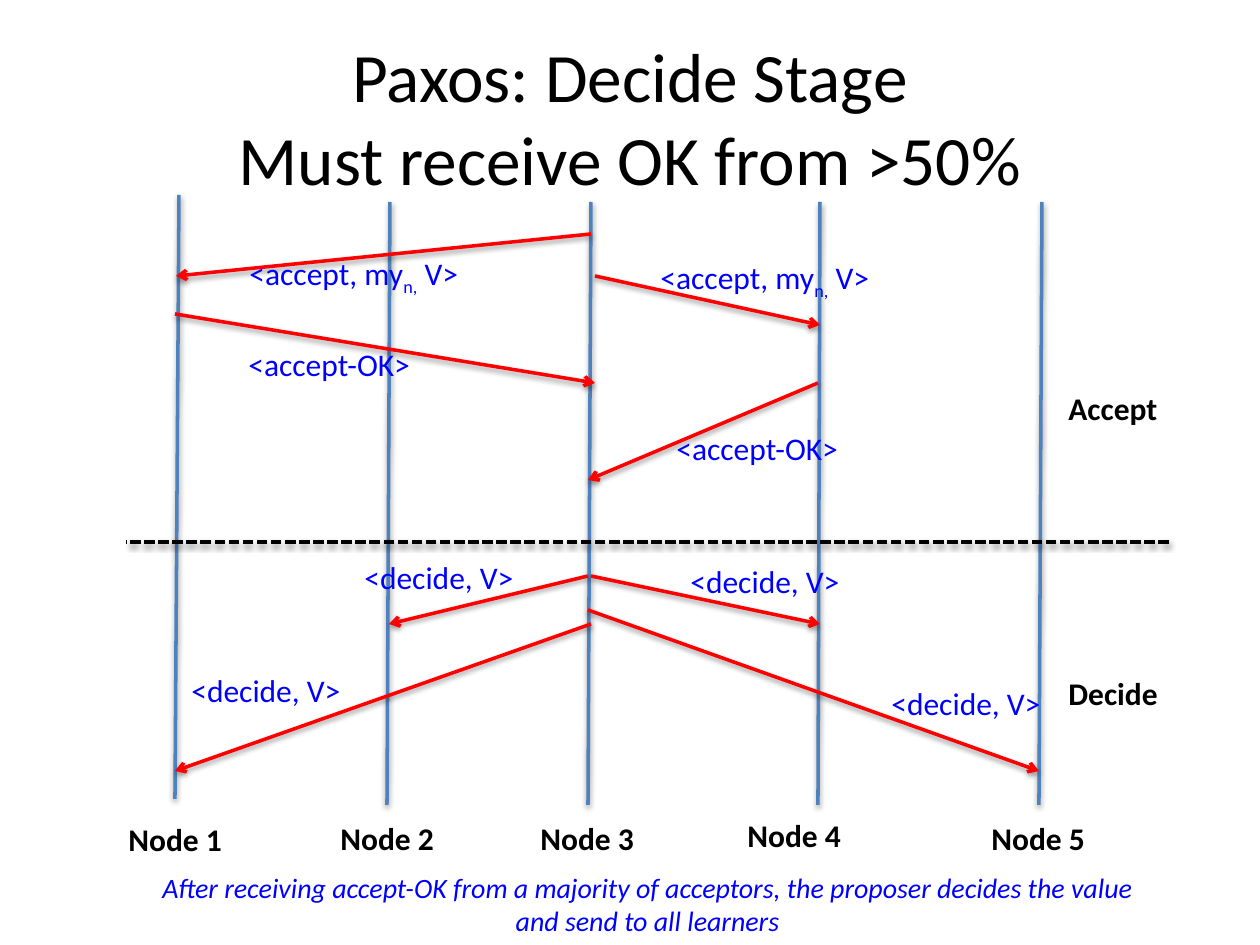
from lxml import etree
from pptx import Presentation
from pptx.dml.color import RGBColor
from pptx.enum.dml import MSO_LINE
from pptx.enum.shapes import MSO_CONNECTOR
from pptx.enum.text import MSO_ANCHOR, PP_ALIGN
from pptx.oxml import parse_xml
from pptx.oxml.ns import nsdecls, qn
from pptx.util import Emu, Pt

STRAIGHT = MSO_CONNECTOR.STRAIGHT
DASHED = MSO_LINE.SQUARE_DOT
MIDDLE = MSO_ANCHOR.MIDDLE
LEFT, CENTER = PP_ALIGN.LEFT, PP_ALIGN.CENTER

PIXELS_PER_INCH = 126
FONT = "Calibri"
BLACK, BLUE, RED, STEEL = "000000", "0000FF", "FF0000", "4F81BD"

SHADOW = (
    f'<a:effectLst {nsdecls("a")}>'
    '<a:outerShdw blurRad="40000" dist="20000" dir="5400000" rotWithShape="0">'
    '<a:srgbClr val="000000"><a:alpha val="38000"/></a:srgbClr>'
    "</a:outerShdw></a:effectLst>"
)

# Name, top x, bottom x, top y, bottom y, label left, label top
NODES = [
    ("Node 1", 179, 175, 195, 799, 116, 814),
    ("Node 2", 390, 387, 202, 805, 328, 813),
    ("Node 3", 591, 588, 202, 805, 528, 813),
    ("Node 4", 820, 818, 202, 805, 735, 810),
    ("Node 5", 1042, 1039, 202, 805, 979, 813),
]

# Start and end of each message arrow
MESSAGES = [
    ((175, 314), (595, 383)),
    ((818, 383), (588, 480)),
    ((591, 234), (176, 276)),
    ((595, 276), (820, 325)),
    ((588, 576), (389, 624)),
    ((591, 624), (175, 771)),
    ((588, 610), (1039, 771)),
    ((591, 576), (820, 624)),
]

# Spans of text, each with a flag for subscript
ACCEPT = [("<accept, my", False), ("n,", True), (" V>", False)]
ACCEPT_OK = [("<accept-OK>", False)]
DECIDE = [("<decide, V>", False)]

# Spans, left, top, width
MESSAGE_LABELS = [
    (ACCEPT_OK, 236, 339, 190),
    (ACCEPT_OK, 664, 423, 190),
    (ACCEPT, 237, 248, 247),
    (ACCEPT, 648, 252, 247),
    (DECIDE, 179, 665, 176),
    (DECIDE, 352, 552, 176),
    (DECIDE, 678, 556, 176),
    (DECIDE, 879, 678, 176),
]

STAGES = [("Accept", 383), ("Decide", 668)]

CAPTION = [
    "After receiving accept-OK from a majority of acceptors, the proposer decides the value",
    "and send to all learners",
]


def px(pixels):
    return Emu(round(pixels * 914400 / PIXELS_PER_INCH))


def rgb(value):
    return RGBColor.from_string(value)


def style_font(font, size, color, bold=False, italic=False):
    font.name = FONT
    font.size = Pt(size)
    font.bold = bold
    font.italic = italic
    font.color.rgb = rgb(color)


def add_line(page, start, end, color, dash=None, arrow=False):
    line = page.shapes.add_connector(STRAIGHT, *map(px, start + end))
    line.line.color.rgb = rgb(color)
    line.line.width = Pt(2)
    if dash is not None:
        line.line.dash_style = dash
    if arrow:
        etree.SubElement(line.line._get_or_add_ln(), qn("a:tailEnd"), type="arrow")
    line._element.spPr.append(parse_xml(SHADOW))


def add_text(page, lines, left, top, width, height, color,
             size=18, bold=False, italic=False, align=LEFT):
    box = page.shapes.add_textbox(px(left), px(top), px(width), px(height))
    frame = box.text_frame
    frame.word_wrap = True
    for index, spans in enumerate(lines):
        para = frame.add_paragraph() if index else frame.paragraphs[0]
        para.alignment = align
        style_font(para.font, size, color, bold, italic)
        for text, subscript in spans:
            span = para.add_run()
            span.text = text
            if subscript:
                span.font._element.set("baseline", "-25000")


def add_title(page, text):
    title = page.shapes.title
    title.left, title.top, title.width, title.height = map(px, (63, 38, 1134, 157))
    frame = title.text_frame
    frame.text = text
    frame.vertical_anchor = MIDDLE
    para = frame.paragraphs[0]
    para.alignment = CENTER
    style_font(para.font, 39.6, BLACK)


def main():
    deck = Presentation()
    deck.slide_width, deck.slide_height = px(1260), px(945)
    page = deck.slides.add_slide(deck.slide_layouts[5])
    add_title(page, "Paxos: Decide Stage\vMust receive OK from >50%")

    # Lifelines with their node names
    for name, top_x, bottom_x, top, bottom, label_left, label_top in NODES:
        add_line(page, (top_x, top), (bottom_x, bottom), STEEL)
        add_text(page, [[(name, False)]], label_left, label_top, 120, 50, BLACK, bold=True)

    # Messages between nodes
    for start, end in MESSAGES:
        add_line(page, start, end, RED, arrow=True)
    for spans, left, top, width in MESSAGE_LABELS:
        add_text(page, [spans], left, top, width, 89, BLUE)

    # Stages and their divider
    add_line(page, (1169, 542), (126, 542), BLACK, dash=DASHED)
    for name, top in STAGES:
        add_text(page, [[(name, False)]], 1056, top, 116, 89, BLACK, bold=True)

    # Caption
    add_text(page, [[(text, False)] for text in CAPTION], 139, 864, 1017, 81, BLUE,
             size=16, italic=True, align=CENTER)

    deck.save("out.pptx")


main()
